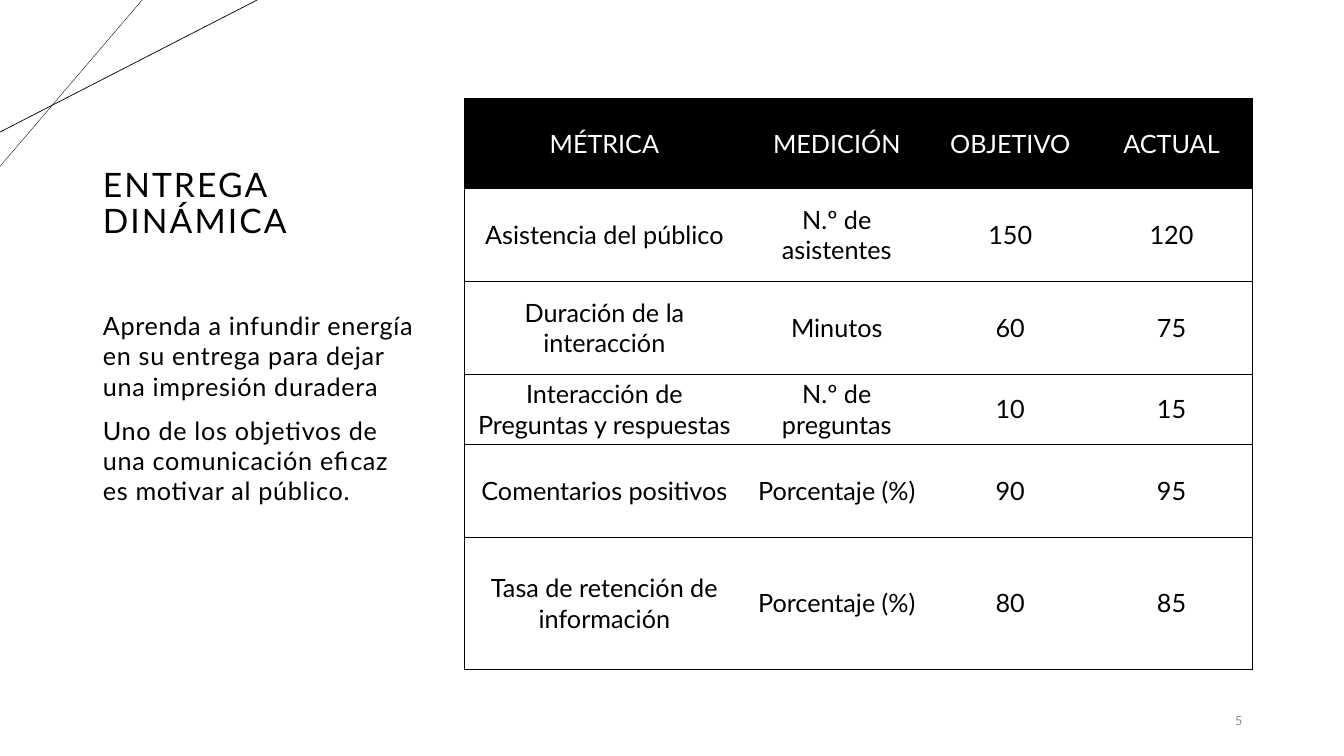
from dataclasses import dataclass

from lxml import etree
from pptx import Presentation
from pptx import util as u
from pptx.dml.color import RGBColor
from pptx.enum import shapes, text
from pptx.oxml import ns

BLACK, WHITE, GREY = "000000", "FFFFFF", "8C8C8C"
FONT = "Lato"


@dataclass
class Style:
    size: float
    colour: str = BLACK
    tracking: float = 0
    align: text.PP_ALIGN = text.PP_ALIGN.LEFT
    line_spacing: float = 1.0
    space_before: float = 0


@dataclass
class Area:
    left: float
    top: float
    width: float
    height: float

    def lengths(self) -> list:
        return [u.Inches(n) for n in (self.left, self.top, self.width, self.height)]


@dataclass
class Stroke:
    start: tuple[float, float]
    end: tuple[float, float]
    width: float


# Content
STROKES = [
    Stroke((1.41, 0), (0, 1.65), 0.25),
    Stroke((2.55, 0), (0, 1.31), 0.5),
]
TITLE = "ENTREGA DINÁMICA"
ADVICE = [
    "Aprenda a infundir energía en su entrega para dejar una impresión duradera",
    "Uno de los objetivos de una comunicación eficaz es motivar al público.",
]
METRICS = [
    ("MÉTRICA", "MEDICIÓN", "OBJETIVO", "ACTUAL"),
    ("Asistencia del público", "N.º de asistentes", "150", "120"),
    ("Duración de la interacción", "Minutos", "60", "75"),
    ("Interacción de Preguntas y respuestas", "N.º de preguntas", "10", "15"),
    ("Comentarios positivos", "Porcentaje (%)", "90", "95"),
    ("Tasa de retención de información", "Porcentaje (%)", "80", "85"),
]
COLUMN_WIDTHS = [2.77, 1.84, 1.6, 1.6]
ROW_HEIGHTS = [0.89, 0.92, 0.92, 0.64, 0.92, 1.31]


def rgb(colour: str) -> RGBColor:
    return RGBColor.from_string(colour)


def apply(target, values: dict) -> None:
    for name, value in values.items():
        setattr(target, name, value)


def write(frame, lines: list[str], style: Style) -> None:
    for number, line in enumerate(lines):
        para = frame.add_paragraph() if number else frame.paragraphs[0]
        apply(para, {
            "alignment": style.align,
            "line_spacing": style.line_spacing,
            "space_before": u.Pt(style.space_before),
        })
        span = para.add_run()
        span.text = line
        apply(span.font, {"name": FONT, "size": u.Pt(style.size), "bold": False})
        span.font.color.rgb = rgb(style.colour)
        if style.tracking:
            span._r.get_or_add_rPr().set("spc", str(int(style.tracking * 100)))


def place(box, area: Area, anchor: text.MSO_ANCHOR, margins: dict | None = None) -> None:
    apply(box, dict(zip(("left", "top", "width", "height"), area.lengths())))
    apply(box.text_frame, {
        "word_wrap": True,
        "auto_size": text.MSO_AUTO_SIZE.NONE,
        "vertical_anchor": anchor,
        **(margins or {}),
    })


def remove_bullets(frame) -> None:
    for para in frame.paragraphs:
        properties = para._p.get_or_add_pPr()
        properties.set("marL", "0")
        properties.set("indent", "0")
        etree.SubElement(properties, ns.qn("a:buNone"))


def draw_stroke(page, stroke: Stroke) -> None:
    ends = [u.Inches(n) for n in (*stroke.start, *stroke.end)]
    line = page.shapes.add_connector(shapes.MSO_CONNECTOR.STRAIGHT, *ends)
    line.line.color.rgb = rgb(BLACK)
    line.line.width = u.Pt(stroke.width)
    etree.SubElement(line._element.spPr, ns.qn("a:effectLst"))


def set_borders(cell, visible: dict[str, bool]) -> None:
    properties = cell._tc.get_or_add_tcPr()
    for side, shown in visible.items():
        border = etree.SubElement(properties, ns.qn(f"a:ln{side}"), w=str(u.Pt(0.5)))
        if shown:
            fill = etree.SubElement(border, ns.qn("a:solidFill"))
            etree.SubElement(fill, ns.qn("a:srgbClr"), val=BLACK)
        else:
            etree.SubElement(border, ns.qn("a:noFill"))


def draw_table(page, area: Area) -> None:
    frame = page.shapes.add_table(len(METRICS), len(COLUMN_WIDTHS), *area.lengths())
    table = frame.table
    table.horz_banding = False
    for column, width in zip(table.columns, COLUMN_WIDTHS):
        column.width = u.Inches(width)
    last = len(COLUMN_WIDTHS) - 1
    for r, (row, height) in enumerate(zip(METRICS, ROW_HEIGHTS)):
        table.rows[r].height = u.Inches(height)
        for c, words in enumerate(row):
            cell = table.cell(r, c)
            cell.vertical_anchor = text.MSO_ANCHOR.MIDDLE
            set_borders(cell, {"L": c == 0, "R": c == last, "T": True, "B": True})
            if r == 0:
                cell.fill.solid()
                cell.fill.fore_color.rgb = rgb(BLACK)
            else:
                cell.fill.background()
            colour = BLACK if r else WHITE
            write(cell.text_frame, [words], Style(18, colour, align=text.PP_ALIGN.CENTER))


def main() -> None:
    deck = Presentation()
    deck.slide_width, deck.slide_height = u.Inches(13.33), u.Inches(7.5)
    page = deck.slides.add_slide(deck.slide_layouts[1])

    # Corner lines
    for stroke in STROKES:
        draw_stroke(page, stroke)

    # Title and advice
    title, body = page.shapes.title, page.placeholders[1]
    place(title, Area(0.92, 0.98, 3.37, 2.1), text.MSO_ANCHOR.MIDDLE)
    write(title.text_frame, [TITLE], Style(24, tracking=1.5, line_spacing=0.9))
    place(body, Area(0.92, 3.08, 3.29, 3.54), text.MSO_ANCHOR.TOP,
          {"margin_top": 0, "margin_bottom": u.Inches(0.05)})
    write(body.text_frame, ADVICE, Style(18, tracking=0.5, space_before=10))
    remove_bullets(body.text_frame)

    # Metrics table
    draw_table(page, Area(4.61, 0.98, sum(COLUMN_WIDTHS), sum(ROW_HEIGHTS)))

    # Page number
    number_area = Area(11.34, 6.95, 1.08, 0.4)
    number = page.shapes.add_textbox(*number_area.lengths())
    place(number, number_area, text.MSO_ANCHOR.MIDDLE)
    write(number.text_frame, ["5"], Style(9, GREY, align=text.PP_ALIGN.RIGHT))

    deck.save("out.pptx")


if __name__ == "__main__":
    main()
